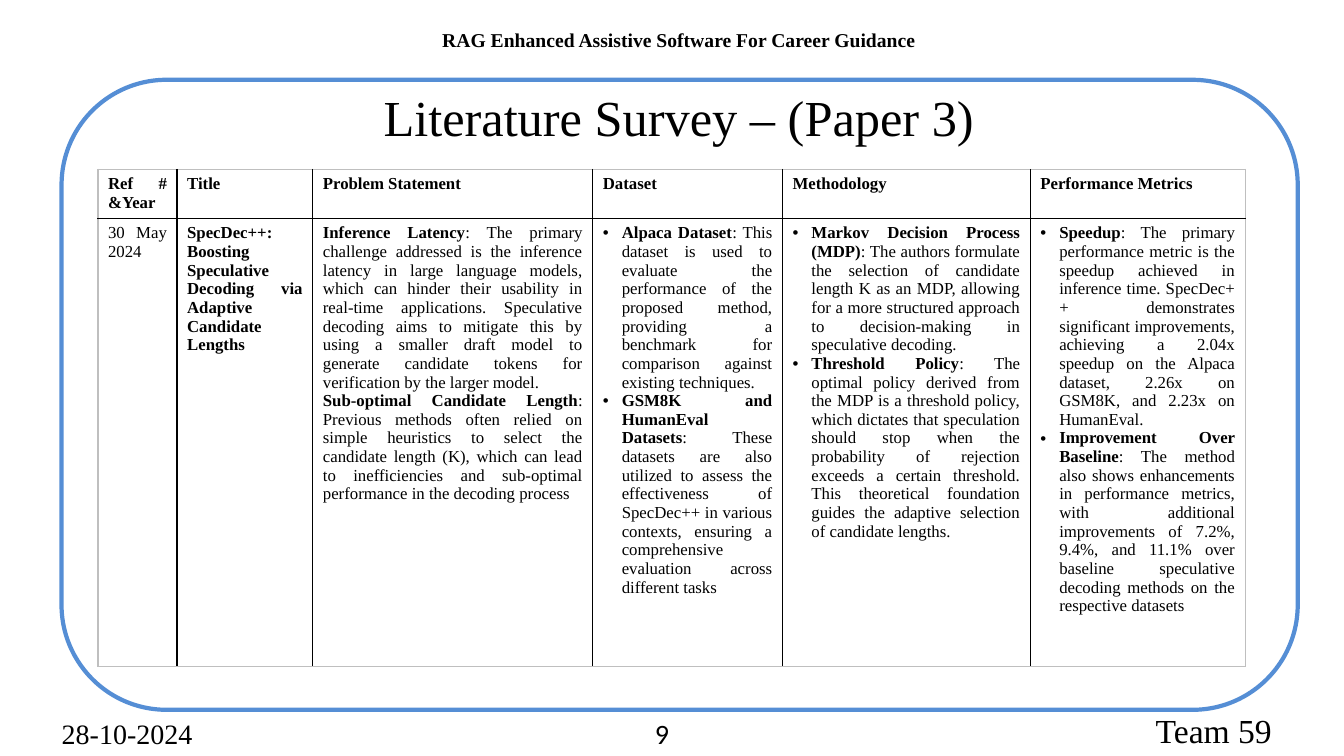
from lxml.etree import SubElement
from pptx import Presentation
from pptx.dml.color import RGBColor
from pptx.enum.shapes import MSO_SHAPE as Shape
from pptx.enum.text import MSO_ANCHOR as Anchor, MSO_AUTO_SIZE as AutoSize, PP_ALIGN as Align
from pptx.oxml import parse_xml
from pptx.oxml.ns import nsdecls, qn
from pptx.util import Pt

COLORS = {"ink": "000000", "frame": "558ED5", "edge": "BFBFBF"}
SERIF = "Times New Roman"


def add_run(paragraph, text, size, bold=False, name=SERIF):
    run = paragraph.add_run()
    run.text = text
    for key, value in {"name": name, "size": Pt(size), "bold": bold}.items():
        setattr(run.font, key, value)
    run.font.color.rgb = RGBColor.from_string(COLORS["ink"])


def fill_line(box, text, size, align, anchor, spacing=None, bold=False, name=SERIF):
    frame = box.text_frame
    settings = {"word_wrap": True, "auto_size": AutoSize.NONE, "vertical_anchor": anchor}
    for key, value in settings.items():
        setattr(frame, key, value)
    paragraph = frame.paragraphs[0]
    for key, value in {"alignment": align, "line_spacing": spacing}.items():
        setattr(paragraph, key, value)
    add_run(paragraph, text, size, bold, name)
    return paragraph


prs = Presentation()
prs.slide_width, prs.slide_height = Pt(960), Pt(540)
slide = prs.slides.add_slide(prs.slide_layouts[5])

border = slide.shapes.add_shape(Shape.ROUNDED_RECTANGLE, Pt(44), Pt(57), Pt(883), Pt(450))
border.shadow.inherit = False
border.fill.background()
border.line.color.rgb = RGBColor.from_string(COLORS["frame"])
border.line.width = Pt(3)

title = slide.shapes.title
title_place = {"left": 105, "top": 65, "width": 760, "height": 43}
for key, value in title_place.items():
    setattr(title, key, Pt(value))
fill_line(title, "Literature Survey – (Paper 3)", 36, Align.CENTER, Anchor.BOTTOM, 0.8)

labels = [
    ((177, 14, 616, 43), "RAG Enhanced Assistive Software For Career Guidance",
     14, Align.CENTER, Anchor.TOP, 1.15, True, SERIF, 0),
    ((37, 509, 216, 29), "28-10-2024", 20, Align.LEFT, Anchor.MIDDLE, None, False, SERIF, 0),
    ((269, 509, 216, 29), "9", 20, Align.RIGHT, Anchor.MIDDLE, None, False, "Calibri", 0),
    ((761, 507, 176, 29), "Team 59", 24, Align.CENTER, Anchor.MIDDLE, None, False, SERIF, 36),
]
for place, text, size, align, anchor, spacing, bold, font, indent in labels:
    label = slide.shapes.add_textbox(*map(Pt, place))
    line = fill_line(label, text, size, align, anchor, spacing, bold, font)
    if indent:
        line._p.get_or_add_pPr().set("marL", str(Pt(indent)))

headings = ["Ref # &Year", "Title", "Problem Statement", "Dataset", "Methodology",
            "Performance Metrics"]
paper = [
    [("", "30 May 2024")],
    [("SpecDec++: Boosting Speculative Decoding via Adaptive Candidate Lengths", "")],
    [("Inference Latency",
      ": The primary challenge addressed is the inference latency in large language models, "
      "which can hinder their usability in real-time applications. Speculative decoding aims "
      "to mitigate this by using a smaller draft model to generate candidate tokens for "
      "verification by the larger model."),
     ("Sub-optimal Candidate Length",
      ": Previous methods often relied on simple heuristics to select the candidate length "
      "(K), which can lead to inefficiencies and sub-optimal performance in the decoding "
      "process")],
    [("Alpaca Dataset",
      ": This dataset is used to evaluate the performance of the proposed method, providing "
      "a benchmark for comparison against existing techniques."),
     ("GSM8K and HumanEval Datasets",
      ": These datasets are also utilized to assess the effectiveness of SpecDec++ in "
      "various contexts, ensuring a comprehensive evaluation across different tasks")],
    [("Markov Decision Process (MDP)",
      ": The authors formulate the selection of candidate length K as an MDP, allowing for a "
      "more structured approach to decision-making in speculative decoding."),
     ("Threshold Policy",
      ": The optimal policy derived from the MDP is a threshold policy, which dictates that "
      "speculation should stop when the probability of rejection exceeds a certain "
      "threshold. This theoretical foundation guides the adaptive selection of candidate "
      "lengths.")],
    [("Speedup",
      ": The primary performance metric is the speedup achieved in inference time. SpecDec++ "
      "demonstrates significant improvements, achieving a 2.04x speedup on the Alpaca "
      "dataset, 2.26x on GSM8K, and 2.23x on HumanEval."),
     ("Improvement Over Baseline",
      ": The method also shows enhancements in performance metrics, with additional "
      "improvements of 7.2%, 9.4%, and 11.1% over baseline speculative decoding methods on "
      "the respective datasets")],
]
survey_rows = [[[(heading, "")] for heading in headings], paper]
column_widths = [56.5, 97, 200, 135.5, 177, 153.5]
row_heights = [35.3, 320]
first_bulleted = headings.index("Dataset")

survey = slide.shapes.add_table(2, len(headings), Pt(70), Pt(121),
                                Pt(sum(column_widths)), Pt(sum(row_heights))).table
for column, width in zip(survey.columns, column_widths):
    column.width = Pt(width)
for row, height in zip(survey.rows, row_heights):
    row.height = Pt(height)

for r, entries in enumerate(survey_rows):
    for c, points in enumerate(entries):
        cell = survey.cell(r, c)
        cell.fill.background()
        margins = {"margin_left": 7.2, "margin_right": 7.2, "margin_top": 3.6,
                   "margin_bottom": 3.6}
        for key, value in margins.items():
            setattr(cell, key, Pt(value))

        outer = {"lnL": c == 0, "lnR": c == len(headings) - 1, "lnT": r == 0, "lnB": r == 1}
        properties = cell._tc.get_or_add_tcPr()
        for position, (side, at_edge) in enumerate(outer.items()):
            color = COLORS["edge" if at_edge else "ink"]
            properties.insert(position, parse_xml(
                f'<a:{side} {nsdecls("a")} w="{Pt(1)}"><a:solidFill>'
                f'<a:srgbClr val="{color}"/></a:solidFill></a:{side}>'))

        for i, (lead, detail) in enumerate(points):
            frame = cell.text_frame
            paragraph = frame.add_paragraph() if i else frame.paragraphs[0]
            paragraph.alignment = Align.JUSTIFY
            if r and c >= first_bulleted:
                layout = paragraph._p.get_or_add_pPr()
                layout.set("marL", str(Pt(13.5)))
                layout.set("indent", str(Pt(-13.5)))
                SubElement(layout, qn("a:buFont")).set("typeface", "Arial")
                SubElement(layout, qn("a:buChar")).set("char", "•")
            for text, bold in ((lead, True), (detail, False)):
                if text:
                    add_run(paragraph, text, 12, bold)

prs.save("out.pptx")
